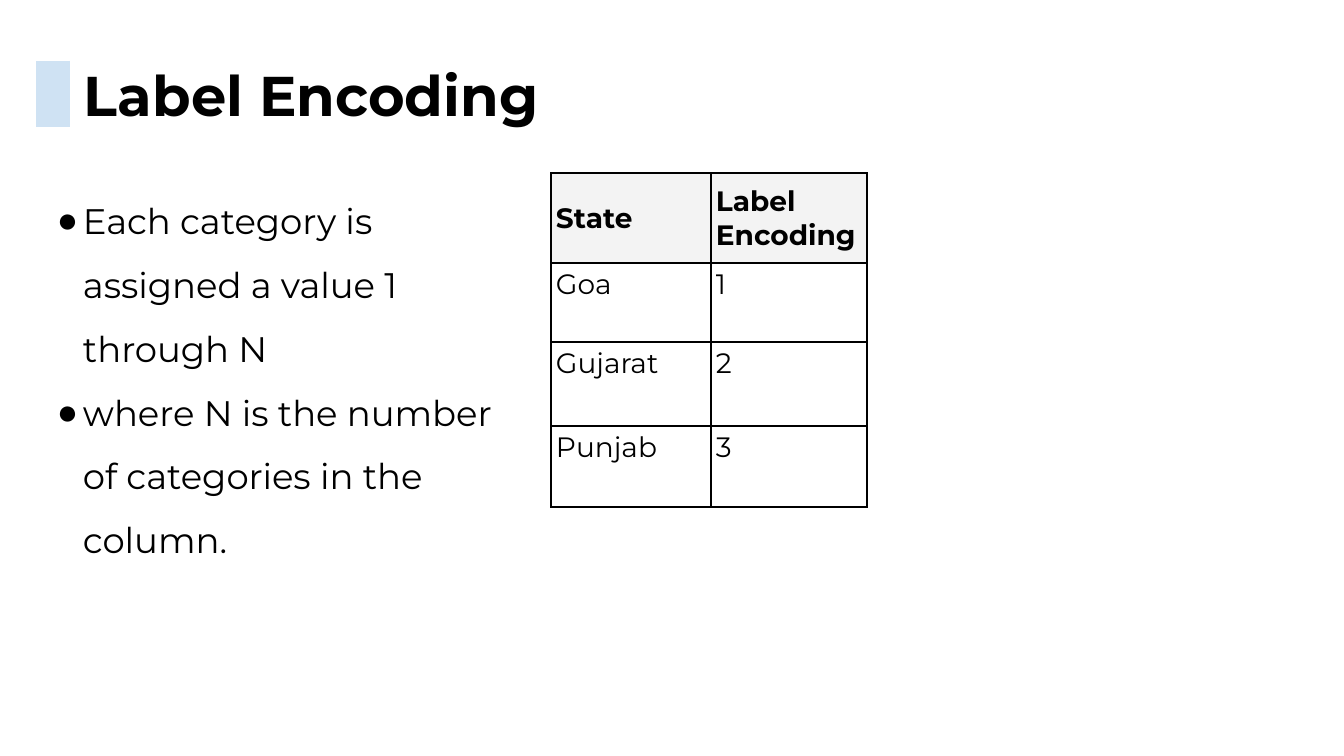
from lxml import etree
from pptx import Presentation
from pptx import util as u
from pptx.dml.color import RGBColor
from pptx.enum import shapes, text
from pptx.oxml import ns

PX = 914400 / 134.4
FONT = "Montserrat"
BLACK = "000000"


def px(n):
    return u.Emu(round(n * PX))


def add_run(paragraph, words, size, bold=False, color=BLACK):
    run = paragraph.add_run()
    run.text = words
    run.font.name = FONT
    run.font.size = u.Pt(size)
    run.font.bold = bold
    run.font.color.rgb = RGBColor.from_string(color)


prs = Presentation()
prs.slide_width, prs.slide_height = px(1344), px(756)
slide = prs.slides.add_slide(prs.slide_layouts[1])
title, points = slide.placeholders

# Title and body frames
for holder, box, anchor in [
    (title, (79, 51, 567, 86), text.MSO_ANCHOR.MIDDLE),
    (points, (52, 173, 468, 379), text.MSO_ANCHOR.TOP),
]:
    holder.left, holder.top, holder.width, holder.height = map(px, box)
    frame = holder.text_frame
    frame.word_wrap = True
    frame.auto_size = text.MSO_AUTO_SIZE.NONE
    frame.vertical_anchor = anchor
    frame.margin_left = frame.margin_right = px(5)
    frame.margin_top = frame.margin_bottom = px(5)

heading = title.text_frame.paragraphs[0]
heading.alignment = text.PP_ALIGN.LEFT
add_run(heading, "Label Encoding", 30, bold=True)

# Bulleted explanation
explanation = [
    "Each category is assigned a value 1 through N",
    "where N is the number of categories in the column.",
]
for i, sentence in enumerate(explanation):
    frame = points.text_frame
    paragraph = frame.add_paragraph() if i else frame.paragraphs[0]
    props = paragraph._p.get_or_add_pPr()
    props.set("marL", str(px(26)))
    props.set("indent", str(-px(31)))
    bullet_color = etree.SubElement(props, ns.qn("a:buClr"))
    etree.SubElement(bullet_color, ns.qn("a:srgbClr"), val=BLACK)
    etree.SubElement(props, ns.qn("a:buChar"), char="●")
    paragraph.line_spacing = 1.5
    paragraph.space_before = u.Pt(0)
    add_run(paragraph, sentence, 19)

# Encoding table
rows = [
    ("State", "Label Encoding"),
    ("Goa", "1"),
    ("Gujarat", "2"),
    ("Punjab", "3"),
]
widths = [160, 156]
heights = [90, 79, 84, 81]
table = slide.shapes.add_table(
    len(rows), len(widths), px(551), px(173), px(sum(widths)), px(sum(heights))
).table
table.first_row = table.horz_banding = False
for column, width in zip(table.columns, widths):
    column.width = px(width)
for r, (row, height) in enumerate(zip(rows, heights)):
    table.rows[r].height = px(height)
    for c, words in enumerate(row):
        cell = table.cell(r, c)
        cell.margin_left = cell.margin_right = px(5)
        cell.margin_top = cell.margin_bottom = px(5)
        add_run(cell.text_frame.paragraphs[0], words, 15, bold=r == 0)
        # Borders come before the fill in the cell properties
        cell_props = cell._tc.get_or_add_tcPr()
        for side in ("lnL", "lnR", "lnT", "lnB"):
            border = etree.SubElement(cell_props, ns.qn(f"a:{side}"), w=str(u.Pt(1)))
            fill = etree.SubElement(border, ns.qn("a:solidFill"))
            etree.SubElement(fill, ns.qn("a:srgbClr"), val=BLACK)
        if r == 0:
            cell.vertical_anchor = text.MSO_ANCHOR.MIDDLE
            cell.fill.solid()
            cell.fill.fore_color.rgb = RGBColor.from_string("F3F3F3")
        else:
            cell.fill.background()

# Accent bar beside the title
accent = slide.shapes.add_connector(
    shapes.MSO_CONNECTOR.STRAIGHT, px(53), px(61), px(53), px(127)
)
accent.line.color.rgb = RGBColor.from_string("CFE2F3")
accent.line.width = u.Pt(18)
etree.SubElement(accent._element.spPr, ns.qn("a:effectLst"))

prs.save("out.pptx")
